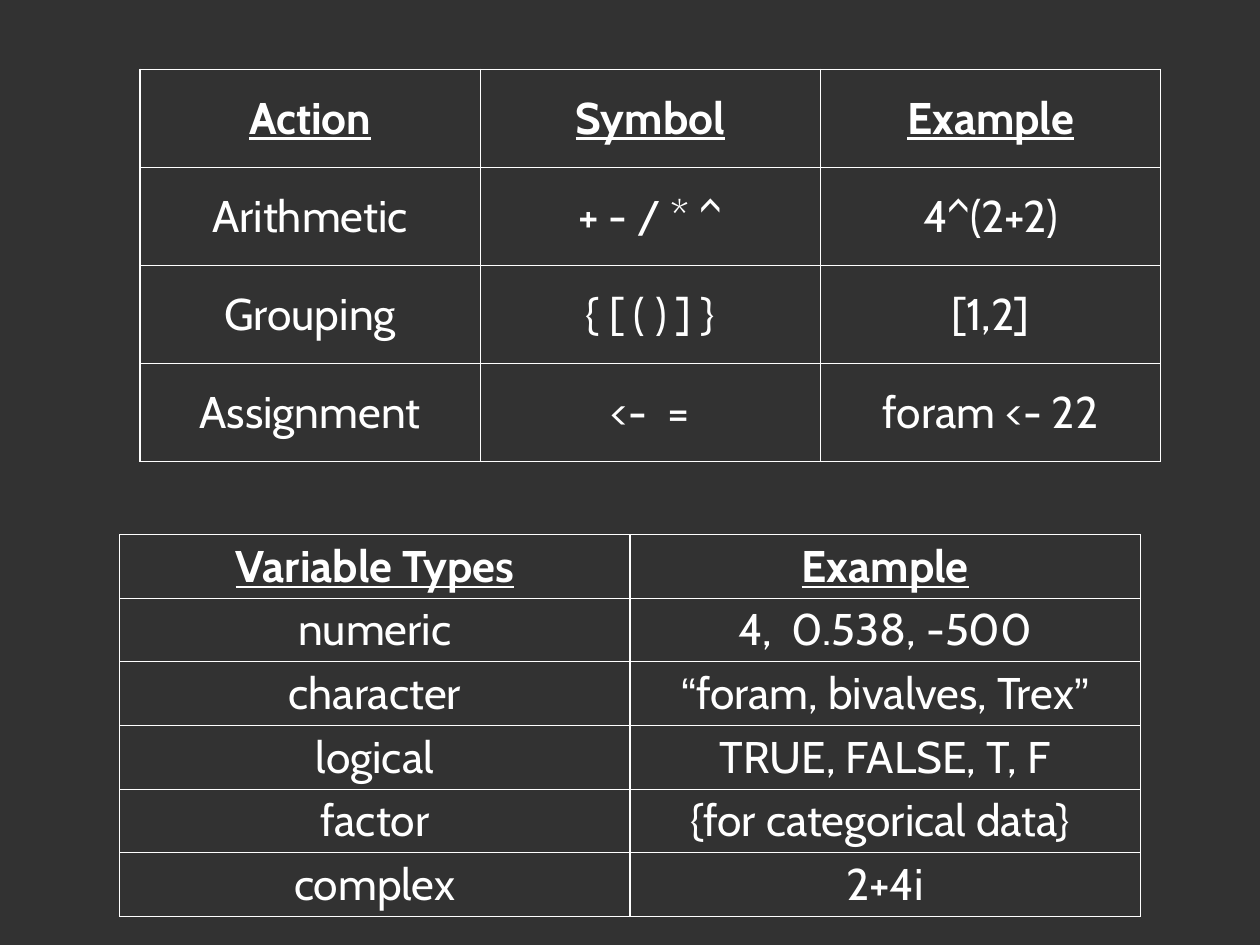
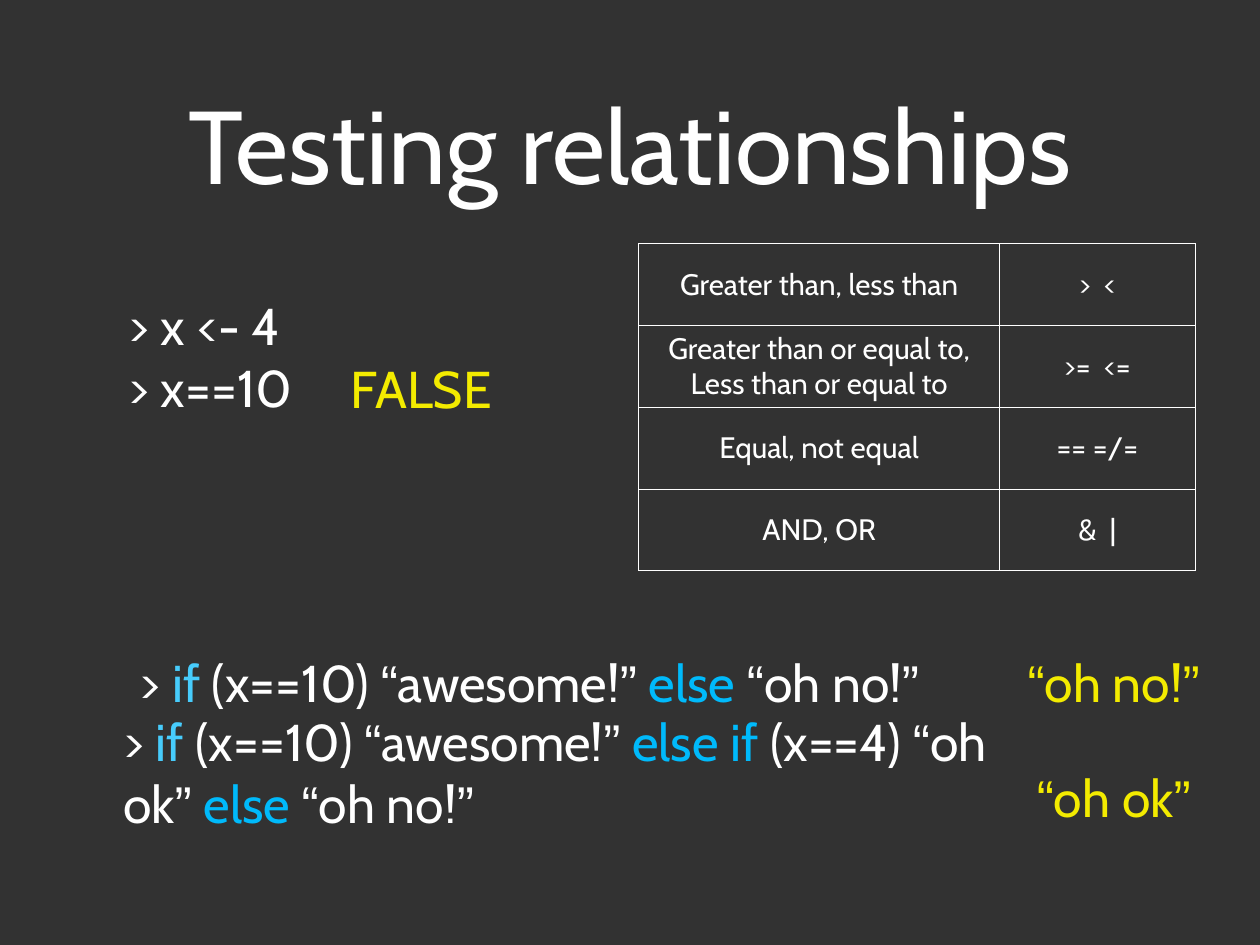
from itertools import groupby

from lxml import etree
from pptx import Presentation
from pptx import util as u
from pptx.dml.color import RGBColor
from pptx.enum import text
from pptx.oxml import ns

BACKGROUND, WHITE, YELLOW = "323232", "FFFFFF", "F3EB00"
LIGHT_BLUE, BLUE = "47CCFC", "00BAFB"
LEFT, CENTER = text.PP_ALIGN.LEFT, text.PP_ALIGN.CENTER
BODY_SIZE = 42


def rgb(hex_color):
    return RGBColor.from_string(hex_color)


def add_borders(cell, color=WHITE, width=0.96):
    properties = cell._tc.get_or_add_tcPr()
    for position, side in enumerate(("lnL", "lnR", "lnT", "lnB")):
        line = etree.Element(ns.qn(f"a:{side}"), w=str(u.Pt(width)))
        fill = etree.SubElement(line, ns.qn("a:solidFill"))
        etree.SubElement(fill, ns.qn("a:srgbClr"), val=color)
        properties.insert(position, line)


class Deck:
    """Holds the shared style and the slide being built."""
    font, quote_font = "Cabin", "Arial"

    def __init__(self):
        self.prs = Presentation()
        self.prs.slide_width = u.Inches(14.22)
        self.prs.slide_height = u.Inches(10.66)
        self.slide = None

    def new_slide(self):
        self.slide = self.prs.slides.add_slide(self.prs.slide_layouts[6])
        fill = self.slide.background.fill
        fill.solid()
        fill.fore_color.rgb = rgb(BACKGROUND)

    def add_runs(self, paragraph, runs, size, align, heading=False):
        """Add (words, colour) runs, with curly quotes in their own font."""
        paragraph.alignment = align
        for words, color in runs:
            for is_quote, letters in groupby(words, lambda letter: letter in "“”"):
                run = paragraph.add_run()
                run.text = "".join(letters)
                font = run.font
                font.name = self.quote_font if is_quote else self.font
                font.size = u.Pt(size)
                font.bold = font.underline = heading
                font.color.rgb = rgb(color)

    def text_box(self, box, paragraphs, size=BODY_SIZE, align=LEFT, inset=0, wrap=True):
        frame = self.slide.shapes.add_textbox(*map(u.Inches, box)).text_frame
        frame.word_wrap = wrap
        frame.vertical_anchor = text.MSO_ANCHOR.MIDDLE
        frame.margin_left = frame.margin_right = u.Inches(inset)
        frame.margin_top = frame.margin_bottom = u.Inches(inset)
        for index, runs in enumerate(paragraphs):
            paragraph = frame.add_paragraph() if index else frame.paragraphs[0]
            self.add_runs(paragraph, runs, size, align)

    def title(self, words):
        self.text_box((1.39, 0.28, 11.44, 2.67), [[(words, WHITE)]], 84, CENTER, 0.06)

    def answer(self, box, words, align=CENTER, wrap=False):
        """Show what the code beside it returns."""
        self.text_box(box, [[(words, YELLOW)]], align=align, wrap=wrap)

    def table(self, left, top, widths, height, rows, size, header=False):
        """Draw a bordered grid with equal row heights."""
        table = self.slide.shapes.add_table(
            len(rows), len(widths), u.Inches(left), u.Inches(top),
            u.Inches(sum(widths)), u.Inches(height)).table
        table.first_row = header
        table.horz_banding = False
        for column, width in zip(table.columns, widths):
            column.width = u.Inches(width)
        for r, row in enumerate(rows):
            table.rows[r].height = u.Inches(height / len(rows))
            for c, words in enumerate(row):
                cell = table.cell(r, c)
                cell.fill.background()
                add_borders(cell)
                cell.vertical_anchor = text.MSO_ANCHOR.MIDDLE
                cell.margin_left = cell.margin_right = u.Inches(0.06)
                cell.margin_top = cell.margin_bottom = u.Inches(0.05)
                self.add_runs(cell.text_frame.paragraphs[0], [(words, WHITE)],
                              size, CENTER, header and r == 0)


def add_syntax_slide(deck):
    deck.new_slide()
    actions = [
        ("Action", "Symbol", "Example"),
        ("Arithmetic", "+ - / * ^", "4^(2+2)"),
        ("Grouping", "{ [ ( ) ] }", "[1,2]"),
        ("Assignment", "<-  =", "foram <- 22"),
    ]
    variable_types = [
        ("Variable Types", "Example"),
        ("numeric", "4,  0.538, -500"),
        ("character", "“foram, bivalves, Trex”"),
        ("logical", "TRUE, FALSE, T, F"),
        ("factor", "{for categorical data} "),
        ("complex", "2+4i"),
    ]
    deck.table(1.58, 0.78, [3.84] * 3, 4.43, actions, 36, header=True)
    deck.table(1.35, 6.03, [5.76] * 2, 4.31, variable_types, 36, header=True)


def add_relationships_slide(deck):
    deck.new_slide()
    deck.title("Testing relationships")
    deck.text_box((1.39, 3.03, 3.18, 1.97),
                  [[("> x <- 4", WHITE)], [("> x==10", WHITE)]], inset=0.06)
    operators = [
        ("Greater than, less than", ">  <"),
        ("Greater than or equal to, Less than or equal to", ">=  <="),
        ("Equal, not equal", "== =/="),
        ("AND, OR", "&  |"),
    ]
    deck.table(7.21, 2.75, [4.07, 2.21], 3.69, operators, 24)
    deck.answer((3.96, 4.02, 3.18, 0.7), "FALSE", LEFT, wrap=True)

    condition = [(">", WHITE), (" if", LIGHT_BLUE), (" (x==10) “awesome!” ", WHITE)]
    if_else = condition + [("else ", BLUE), ("“oh no!”", WHITE)]
    else_if = condition + [("else if ", BLUE), ("(x==4) “oh ok”", WHITE),
                           (" else ", BLUE), ("“oh no!”", WHITE)]
    deck.text_box((1.19, 7.29, 9.57, 0.79), [if_else], align=CENTER)
    deck.answer((11.51, 7.34, 2.12, 0.7), "“oh no!”")
    deck.text_box((1.39, 7.97, 9.83, 1.47), [else_if])
    deck.answer((11.61, 8.64, 1.92, 0.7), "“oh ok”")


def main():
    deck = Deck()
    add_syntax_slide(deck)
    add_relationships_slide(deck)
    deck.prs.save("out.pptx")


if __name__ == "__main__":
    main()
